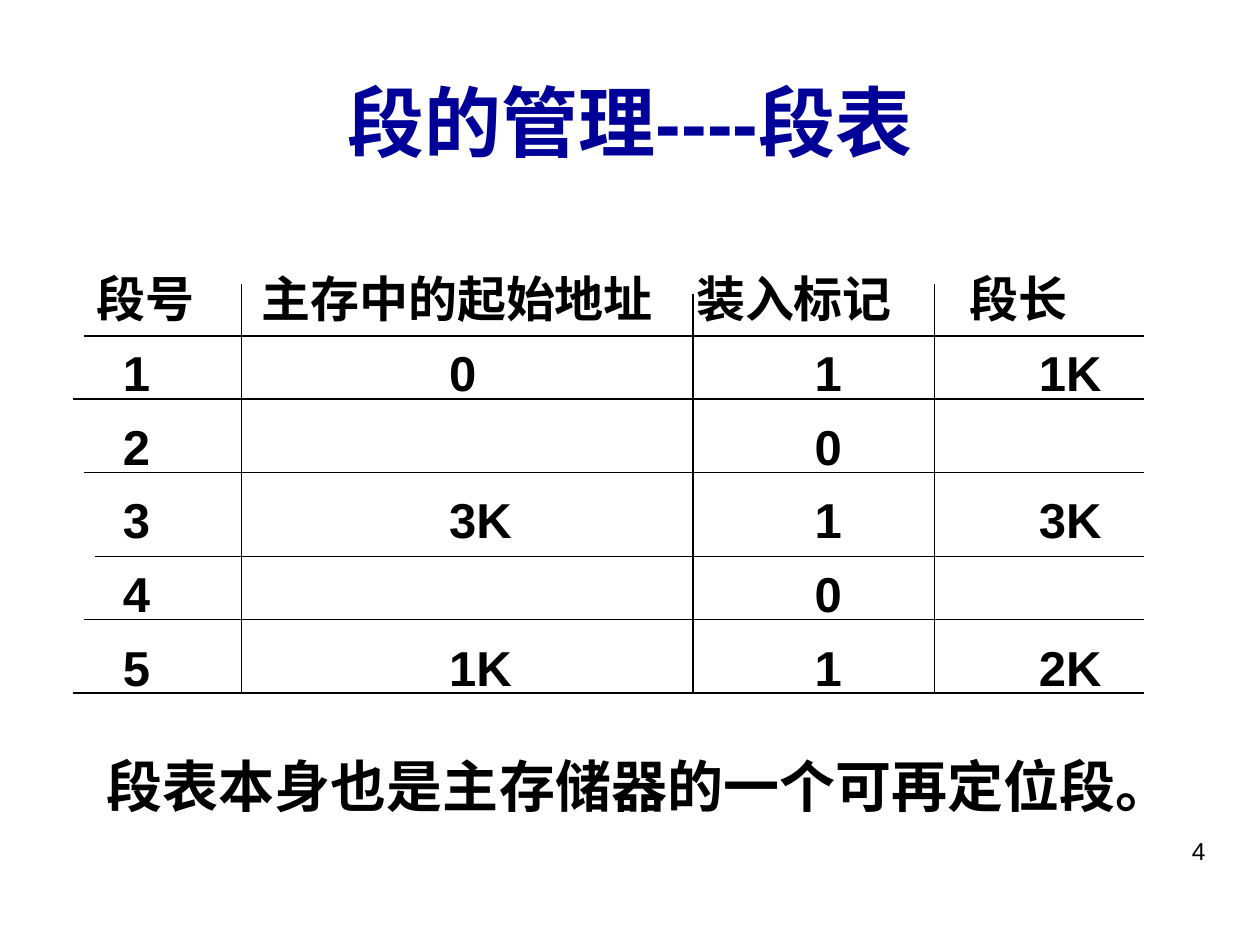
from lxml import etree
from pptx import Presentation
from pptx.dml.color import RGBColor
from pptx.enum.shapes import MSO_CONNECTOR
from pptx.enum.text import MSO_ANCHOR, PP_ALIGN
from pptx.oxml.ns import qn
from pptx.util import Inches, Pt

STRAIGHT = MSO_CONNECTOR.STRAIGHT
LEFT, CENTER, RIGHT = PP_ALIGN.LEFT, PP_ALIGN.CENTER, PP_ALIGN.RIGHT
TOP, MIDDLE = MSO_ANCHOR.TOP, MSO_ANCHOR.MIDDLE
BLACK, NAVY = "000000", "000099"
GRID = 12

HEADINGS = ["段号", "主存中的起始地址", "装入标记", "段长"]
SEGMENTS = [
    ["1", "0", "1", "1K"],
    ["2", "", "0"],
    ["3", "3K", "1", "3K"],
    ["4", "", "0"],
    ["5", "1K", "1", "2K"],
]
HEADING_TABS = [1.31, 4.76, 6.93]
VALUE_TABS = [0.21, 2.8, 5.7, 7.48]
ROW_RULES = [(1, 5), (0, 11), (1, 18), (2, 26), (1, 32), (0, 39)]
COLUMN_RULES = [(16, 0), (59, 1), (82, 0)]


def units(count):
    return Inches(count / GRID)


def color(value):
    return RGBColor.from_string(value)


def add_lines(slide, box, lines, size, ink=BLACK, bold=True, align=LEFT, anchor=TOP):
    frame = slide.shapes.add_textbox(*map(units, box)).text_frame
    frame.word_wrap = True
    frame.vertical_anchor = anchor
    frame.text = "\n".join(lines)
    for paragraph in frame.paragraphs:
        paragraph.alignment = align
        for run in paragraph.runs:
            run.font.name = "Arial"
            run.font.size = Pt(size)
            run.font.bold = bold
            run.font.color.rgb = color(ink)
    return frame.paragraphs


def set_tabs(paragraph, stops):
    properties = paragraph._p.get_or_add_pPr()
    tabs = etree.SubElement(properties, qn("a:tabLst"))
    for stop in stops:
        etree.SubElement(tabs, qn("a:tab"), pos=str(Inches(stop)), algn="l")


def add_rule(slide, start, end):
    rule = slide.shapes.add_connector(STRAIGHT, *map(units, start + end))
    rule.line.color.rgb = color(BLACK)
    rule.line.width = Pt(1)
    etree.SubElement(rule._element.spPr, qn("a:effectLst"))


def add_segment_table(slide, box):
    left, top, width, height = box
    right, bottom = left + width, top + height
    lines = ["\t".join(HEADINGS)] + ["\t" + "\t".join(row) for row in SEGMENTS]
    heading, *values = add_lines(slide, (left + 1, top - 2, 110, 50), lines, 28)
    set_tabs(heading, HEADING_TABS)
    for value in values:
        set_tabs(value, VALUE_TABS)
        value.space_before = Pt(8.5)
    for inset, drop in ROW_RULES:
        add_rule(slide, (left + inset, top + drop), (right, top + drop))
    for offset, drop in COLUMN_RULES:
        add_rule(slide, (left + offset, top + drop), (left + offset, bottom))


def add_title(slide, box):
    add_lines(slide, box, ["段的管理----段表"], 44, NAVY, align=CENTER, anchor=MIDDLE)


def add_conclusion(slide, box):
    add_lines(slide, box, ["段表本身也是主存储器的一个可再定位段。"], 32)


def add_page_number(slide, box):
    add_lines(slide, box, ["4"], 14, bold=False, align=RIGHT)


def main():
    deck = Presentation()
    deck.slide_width, deck.slide_height = Inches(10), Inches(7.5)
    slide = deck.slides.add_slide(deck.slide_layouts[6])
    add_page_number(slide, (86, 79, 30, 6))
    add_title(slide, (4, 4, 112, 15))
    add_segment_table(slide, (7, 27, 102, 39))
    add_conclusion(slide, (9, 71, 101, 8))
    deck.save("out.pptx")


if __name__ == "__main__":
    main()
